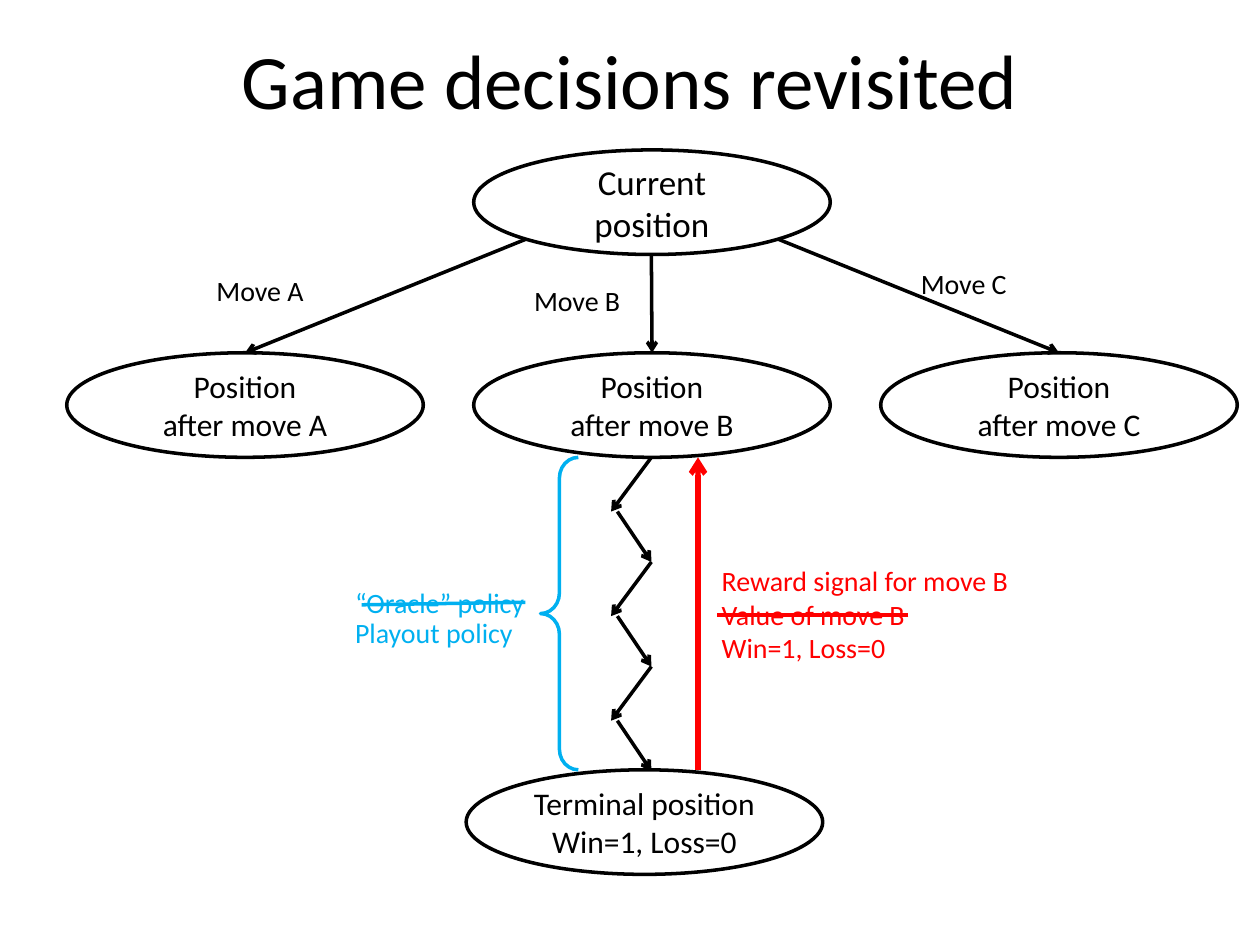
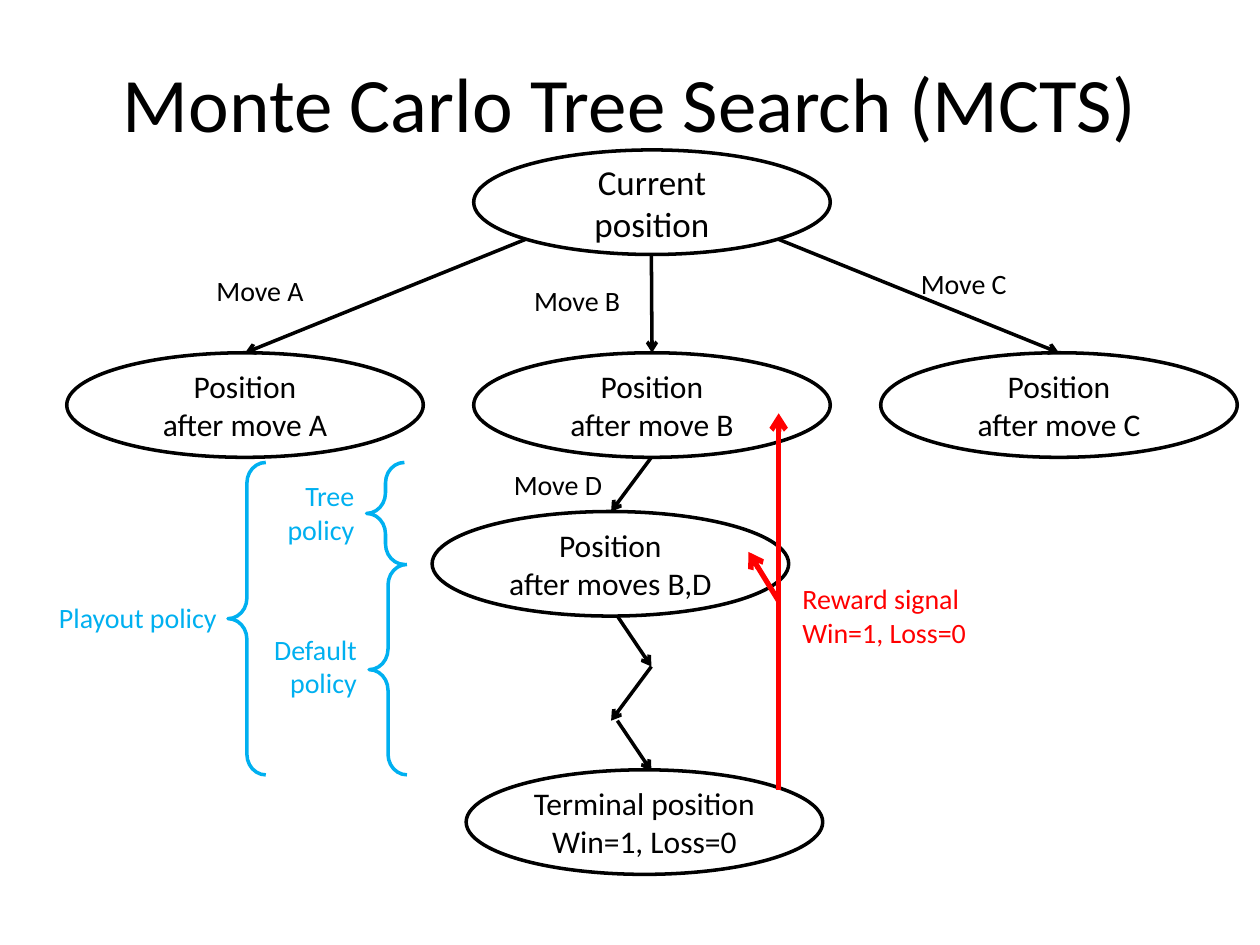
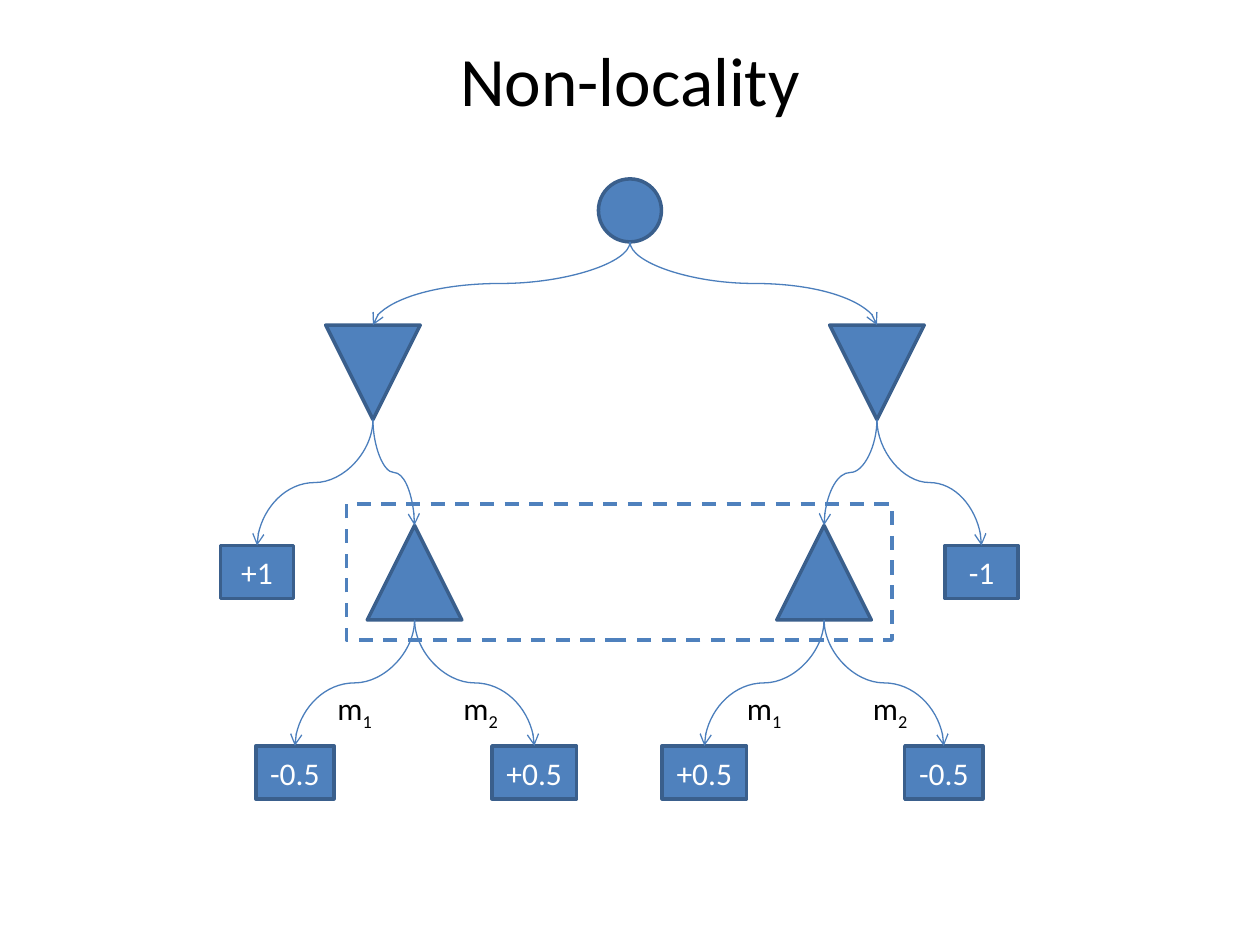
from collections import namedtuple

from lxml.etree import SubElement
from pptx import Presentation
from pptx.dml.color import RGBColor
from pptx.enum.dml import MSO_LINE
from pptx.enum.shapes import MSO_CONNECTOR as CONNECTOR, MSO_SHAPE as SHAPE
from pptx.enum.text import MSO_ANCHOR as ANCHOR, PP_ALIGN as ALIGN
from pptx.oxml.ns import qn
from pptx.util import Inches, Pt

FONT = "Calibri"
COLORS = {
    "ink": "000000",
    "paper": "FFFFFF",
    "policy": "00B0F0",
    "reward": "FF0000",
    "node": "4F81BD",
    "node_edge": "3A5F8C",
    "branch": "4B7EBC",
}
OVAL_WIDTH, OVAL_HEIGHT = 2.83, 0.83
TRIANGLE = 0.75
LEAF_HEIGHT = 0.42
ZIGZAG_PERIOD = 0.83

Box = namedtuple("Box", "left top width height")


def color(name):
    return RGBColor.from_string(COLORS[name])


def inches(*lengths):
    return [Inches(length) for length in lengths]


def add_run(paragraph, text, size, color_name):
    run = paragraph.add_run()
    run.text = text
    run.font.name = FONT
    run.font.size = Pt(size)
    run.font.color.rgb = color(color_name)
    return run


def write_lines(frame, lines, size, color_name, align):
    for index, line in enumerate(lines):
        paragraph = frame.paragraphs[0] if index == 0 else frame.add_paragraph()
        paragraph.alignment = align
        add_run(paragraph, line, size, color_name)


def add_label(slide, box, lines, color_name="ink", size=16, align=ALIGN.LEFT):
    frame = slide.shapes.add_textbox(*inches(*box)).text_frame
    frame.word_wrap = True
    write_lines(frame, lines, size, color_name, align)
    return frame


def add_title(slide, box, text, size=44):
    frame = add_label(slide, box, [text], size=size, align=ALIGN.CENTER)
    frame.vertical_anchor = ANCHOR.MIDDLE


def add_figure(slide, kind, box, fill, edge):
    """Add a preset shape; a fill of None leaves it hollow."""
    shape = slide.shapes.add_shape(kind, *inches(*box))
    shape.shadow.inherit = False
    if fill:
        shape.fill.solid()
        shape.fill.fore_color.rgb = color(fill)
    else:
        shape.fill.background()
    shape.line.color.rgb = color(edge)
    shape.line.width = Pt(2)
    return shape


def add_oval(slide, left, top, lines, size=18):
    box = Box(left, top, OVAL_WIDTH, OVAL_HEIGHT)
    frame = add_figure(slide, SHAPE.OVAL, box, "paper", "ink").text_frame
    frame.word_wrap = True
    frame.vertical_anchor = ANCHOR.MIDDLE
    write_lines(frame, lines, size, "ink", ALIGN.CENTER)


def add_brace(slide, left, top, height):
    brace = add_figure(slide, SHAPE.LEFT_BRACE, Box(left, top, 0.3, height), None, "policy")
    brace.adjustments[0] = 0.545


def add_line(slide, start, end, color_name="ink", width=2, arrow=True, kind=CONNECTOR.STRAIGHT):
    connector = slide.shapes.add_connector(kind, *inches(*start, *end))
    connector.line.color.rgb = color(color_name)
    connector.line.width = Pt(width)
    if arrow:
        SubElement(connector.line._get_or_add_ln(), qn("a:tailEnd"), type="arrow")
    SubElement(connector._element.spPr, qn("a:effectLst"))
    return connector


def add_branch(slide, start, end):
    """Draw a curve that leaves and arrives vertically: a horizontal one, turned."""
    (x1, y1), (x2, y2) = start, end
    middle_x, middle_y = (x1 + x2) / 2, (y1 + y2) / 2
    half_run, half_rise = abs(x2 - x1) / 2, (y2 - y1) / 2
    curve = add_line(
        slide,
        (middle_x - half_rise, middle_y - half_run),
        (middle_x + half_rise, middle_y + half_run),
        "branch", 0.75, kind=CONNECTOR.CURVE,
    )
    frame = curve._element.spPr.find(qn("a:xfrm"))
    goes_right = x2 > x1
    frame.set("rot", str((270 if goes_right else 90) * 60000))
    if goes_right:
        frame.set("flipH", "1")


def draw_move_tree(slide, box):
    """Current position above the positions after moves A, B and C."""
    pitch = (box.width - OVAL_WIDTH) / 2
    row_top = box.top + box.height - OVAL_HEIGHT
    add_oval(slide, box.left + pitch, box.top, ["Current position"], 20)
    moves = [
        # name, arrow start and label corner, from the corner of the box
        ("A", (3.64, 0.71), (1.09, 0.93)),
        ("B", (4.64, 0.83), (3.61, 1.01)),
        ("C", (5.65, 0.71), (6.68, 0.88)),
    ]
    for index, (move, (start_x, start_y), (label_x, label_y)) in enumerate(moves):
        left = box.left + index * pitch
        add_oval(slide, left, row_top, ["Position", f"after move {move}"])
        add_line(slide, (box.left + start_x, box.top + start_y), (left + OVAL_WIDTH / 2, row_top))
        add_label(slide, Box(box.left + label_x, box.top + label_y, 1.97, 0.37), [f"Move {move}"])


def draw_playout(slide, box, steps):
    """Zigzag of the given steps, numbered from the top, down to the terminal position."""
    right = box.left + box.width
    for step in steps:
        top = box.top + step // 2 * ZIGZAG_PERIOD
        turn = top + 0.43
        if step % 2 == 0:
            add_line(slide, (right, top), (box.left, turn))
        else:
            add_line(slide, (box.left + 0.05, turn), (right, top + ZIGZAG_PERIOD))
    add_oval(slide, box.left - 1.15, box.top + box.height, ["Terminal position", "Win=1, Loss=0"])


def draw_renamed_policy(slide, box):
    add_brace(slide, box.left + 1.57, box.top, box.height)
    add_label(slide, Box(box.left, box.top + 0.97, 1.73, 0.37), ["“Oracle” policy"], "policy")
    add_label(slide, Box(box.left, box.top + 1.21, 1.73, 0.37), ["Playout policy"], "policy")
    add_line(slide, (box.left + 1.45, box.top + 1.15), (box.left + 0.15, box.top + 1.17),
             "policy", arrow=False)


def draw_renamed_reward(slide, box):
    add_line(slide, (box.left, box.top + box.height), (box.left, box.top), "reward", 3)
    text_left = box.left + 0.09
    add_label(slide, Box(text_left, box.top + 0.79, 2.77, 0.37),
              ["Reward signal for move B"], "reward")
    add_label(slide, Box(text_left, box.top + 1.06, 2.43, 0.64),
              ["Value of move B", "Win=1, Loss=0"], "reward")
    strike = box.top + 1.25
    add_line(slide, (box.left + 1.67, strike), (box.left + 0.15, strike), "reward", arrow=False)


def draw_policy_parts(slide, box):
    """Playout policy, split into tree policy and default policy."""
    tree_height = 0.81
    default_top = box.top + tree_height
    add_brace(slide, box.left + 1.44, box.top, box.height)
    add_label(slide, Box(box.left, box.top + 1.05, 1.73, 0.37), ["Playout policy"], "policy")
    parts = [
        ("Tree policy", 1.63, box.top, tree_height, 0.08),
        ("Default policy", 1.65, default_top, box.height - tree_height, 0.49),
    ]
    for name, offset, top, height, drop in parts:
        left = box.left + offset
        add_brace(slide, left + 0.91, top, height)
        add_label(slide, Box(left, top + drop, 0.91, 0.64), [name], "policy", align=ALIGN.RIGHT)


def draw_shared_reward(slide, box):
    fork = (box.left, box.top + 1.49)
    add_line(slide, (box.left, box.top + box.height), (box.left, box.top), "reward", 3)
    add_line(slide, fork, (box.left - 0.24, box.top + 1.1), "reward", 3)
    add_label(slide, Box(box.left + 0.09, box.top + 1.29, 2.43, 0.64),
              ["Reward signal", "Win=1, Loss=0"], "reward")


def add_node(slide, kind, center, top, width, height):
    box = Box(center - width / 2, top, width, height)
    return add_figure(slide, kind, box, "node", "node_edge")


def add_leaf(slide, center, top, value):
    width = {"+1": 0.58, "-1": 0.58, "-0.5": 0.62, "+0.5": 0.67}[value]
    leaf = add_node(slide, SHAPE.FLOWCHART_PROCESS, center, top, width, LEAF_HEIGHT)
    frame = leaf.text_frame
    frame.margin_left = frame.margin_right = 0
    frame.word_wrap = False
    frame.vertical_anchor = ANCHOR.MIDDLE
    write_lines(frame, [value], 18, "paper", ALIGN.CENTER)


def draw_max_subtree(slide, center, top, values):
    """Upward triangle with moves m1 and m2 to the two values."""
    add_node(slide, SHAPE.FLOWCHART_EXTRACT, center, top, TRIANGLE, TRIANGLE)
    bottom = top + TRIANGLE
    for number, value, side, label_offset in zip("12", values, (-1, 1), (-0.71, 0.29)):
        leaf = center + side * 0.95
        add_leaf(slide, leaf, bottom + 1, value)
        add_branch(slide, (center, bottom), (leaf, bottom + 1))
        frame = add_label(slide, Box(center + label_offset, bottom + 0.5, 0.49, 0.4), ["m"], size=18)
        frame.word_wrap = False
        subscript = add_run(frame.paragraphs[0], number, 18, "ink")
        subscript._r.get_or_add_rPr().set("baseline", "-25000")


def draw_game_tree(slide, box):
    root_size = 0.5
    root = box.left + 3.25
    root_bottom = box.top + root_size
    min_top = box.top + 1.16
    min_bottom = min_top + TRIANGLE
    max_top, leaf_top = min_bottom + 0.84, min_bottom + 1
    subtrees = [
        # min node, outer leaf and max node centers, then the values
        (1.21, 0.29, 1.54, "+1", ("-0.5", "+0.5")),
        (5.21, 6.04, 4.79, "-1", ("+0.5", "-0.5")),
    ]
    add_node(slide, SHAPE.FLOWCHART_CONNECTOR, root, box.top, root_size, root_size)
    for *offsets, outer_value, max_values in subtrees:
        min_node, outer_leaf, max_node = (box.left + offset for offset in offsets)
        add_node(slide, SHAPE.FLOWCHART_MERGE, min_node, min_top, TRIANGLE, TRIANGLE)
        add_leaf(slide, outer_leaf, leaf_top, outer_value)
        draw_max_subtree(slide, max_node, max_top, max_values)
        add_branch(slide, (root, root_bottom), (min_node, min_top))
        add_branch(slide, (min_node, min_bottom), (outer_leaf, leaf_top))
        add_branch(slide, (min_node, min_bottom), (max_node, max_top))
    information_set = Box(box.left + 1, max_top - 0.17, 4.33, 1.08)
    outline = add_figure(slide, SHAPE.RECTANGLE, information_set, None, "node")
    outline.line.dash_style = MSO_LINE.DASH


def build_decisions_slide(slide, tree, playout):
    add_title(slide, Box(0.5, 0, 9, 1.25), "Game decisions revisited")
    draw_move_tree(slide, tree)
    draw_playout(slide, playout, range(6))
    draw_renamed_policy(slide, Box(2.72, playout.top, 1.87, playout.height))
    draw_renamed_reward(slide, Box(5.54, playout.top, 2.86, playout.height))


def build_search_slide(slide, tree, playout):
    add_title(slide, Box(0.5, 0.3, 9, 1.01), "Monte Carlo Tree Search (MCTS)")
    draw_move_tree(slide, tree)
    draw_playout(slide, playout, (0, 3, 4, 5))
    add_oval(slide, playout.left - 1.42, playout.top + 0.43, ["Position", "after moves B,D"])
    add_label(slide, Box(playout.left - 0.87, playout.top + 0.03, 1.97, 0.37), ["Move D"])
    draw_policy_parts(slide, Box(0.37, 3.67, 2.86, 2.48))
    draw_shared_reward(slide, Box(6.18, 3.28, 2.52, 2.99))


def build_locality_slide(slide):
    add_title(slide, Box(0, 0.25, 10, 0.75), "Non-locality", 39.6)
    draw_game_tree(slide, Box(1.75, 1.42, 6.33, 4.92))


def main():
    presentation = Presentation()
    presentation.slide_width, presentation.slide_height = inches(10, 7.5)
    blank = presentation.slide_layouts[6]
    tree = Box(0.53, 1.19, 9.29, 2.44)
    playout = Box(4.85, 3.63, 0.32, 2.48)
    build_decisions_slide(presentation.slides.add_slide(blank), tree, playout)
    build_search_slide(presentation.slides.add_slide(blank), tree, playout)
    build_locality_slide(presentation.slides.add_slide(blank))
    presentation.save("out.pptx")


if __name__ == "__main__":
    main()
